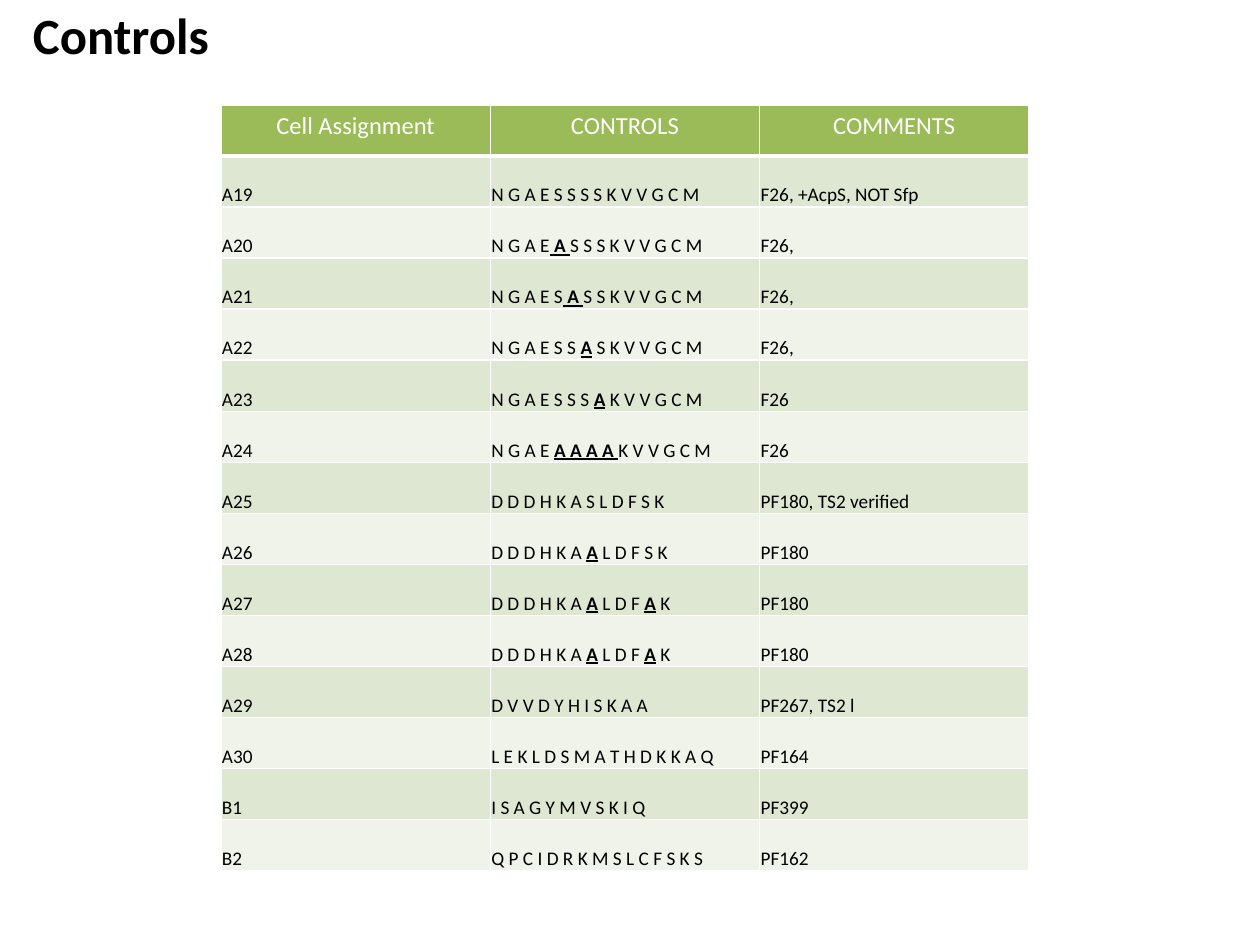
import pptx
import pptx.util
import pptx.dml.color
import pptx.enum.text
import pptx.oxml

EMU_PER_PX = 914400 / 126
FONT = "Calibri"
HEADINGS = ["Cell Assignment", "CONTROLS", "COMMENTS"]
# Substituted residues stand between asterisks
CONTROLS = [
    ("A19", "N G A E S S S S K V V G C M", "F26, +AcpS, NOT Sfp"),
    ("A20", "N G A E* A *S S S K V V G C M", "F26,"),
    ("A21", "N G A E S* A *S S K V V G C M", "F26,"),
    ("A22", "N G A E S S *A* S K V V G C M", "F26,"),
    ("A23", "N G A E S S S *A* K V V G C M", "F26"),
    ("A24", "N G A E *A A A A *K V V G C M", "F26"),
    ("A25", "D D D H K A S L D F S K", "PF180, TS2 verified"),
    ("A26", "D D D H K A *A* L D F S K", "PF180"),
    ("A27", "D D D H K A *A* L D F *A* K", "PF180"),
    ("A28", "D D D H K A *A* L D F *A* K", "PF180"),
    ("A29", "D V V D Y H I S K A A", "PF267, TS2 l"),
    ("A30", "L E K L D S M A T H D K K A Q", "PF164"),
    ("B1", "I S A G Y M V S K I Q", "PF399"),
    ("B2", "Q P C I D R K M S L C F S K S", "PF162"),
]
HEADER_FORMAT = {"size": 14, "color": "FFFFFF", "align": "CENTER"}
BODY_FORMAT = {"size": 11, "color": "000000", "align": "LEFT"}
TITLE_FORMAT = {"size": 29, "color": "000000", "align": "CENTER", "bold": True}
BODY_CELL = {"margin_left": 1, "margin_right": 1, "margin_top": 1, "margin_bottom": 0}


def px(length):
    return pptx.util.Emu(round(length * EMU_PER_PX))


def rgb(code):
    return pptx.dml.color.RGBColor.from_string(code)


def write(frame, text, style):
    paragraph = frame.paragraphs[0]
    paragraph.alignment = getattr(pptx.enum.text.PP_ALIGN, style["align"])
    for index, part in enumerate(text.split("*")):
        if not part:
            continue
        substituted = index % 2 == 1
        run = paragraph.add_run()
        run.text = part
        font_values = {
            "name": FONT,
            "size": pptx.util.Pt(style["size"]),
            "bold": substituted or style.get("bold", False),
            "underline": substituted,
        }
        for name, value in font_values.items():
            setattr(run.font, name, value)
        run.font.color.rgb = rgb(style["color"])


def set_borders(cell, bottom_width):
    widths = {"lnL": 1, "lnR": 1, "lnT": 1, "lnB": bottom_width}
    properties = cell._tc.get_or_add_tcPr()
    # Border lines come before the fill
    for position, (side, width) in enumerate(widths.items()):
        properties.insert(position, pptx.oxml.parse_xml(
            f'<a:{side} xmlns:a="http://schemas.openxmlformats.org/drawingml/2006/main" '
            f'w="{pptx.util.Pt(width)}"><a:solidFill><a:srgbClr val="FFFFFF"/>'
            f'</a:solidFill></a:{side}>'))


def fill_cell(cell, text, fill, style, bottom_width=1):
    cell.fill.solid()
    cell.fill.fore_color.rgb = rgb(fill)
    set_borders(cell, bottom_width)
    write(cell.text_frame, text, style)


def add_title(slide, left, top, width, height):
    title = slide.shapes.add_textbox(px(left), px(top), px(width), px(height))
    title.text_frame.word_wrap = True
    title.text_frame.vertical_anchor = pptx.enum.text.MSO_ANCHOR.MIDDLE
    write(title.text_frame, "Controls", TITLE_FORMAT)


def add_controls_table(slide, left, top, width, height):
    controls = slide.shapes.add_table(
        len(CONTROLS) + 1, len(HEADINGS), px(left), px(top), px(width), px(height)).table

    # Header row
    for column, heading in enumerate(HEADINGS):
        fill_cell(controls.cell(0, column), heading, "9BBB59", HEADER_FORMAT, 3)

    # Banded body rows
    for row, entry in enumerate(CONTROLS, start=1):
        band = "DEE7D1" if row % 2 else "EFF3EA"
        for column, text in enumerate(entry):
            cell = controls.cell(row, column)
            for name, margin in BODY_CELL.items():
                setattr(cell, name, px(margin))
            cell.vertical_anchor = pptx.enum.text.MSO_ANCHOR.BOTTOM
            fill_cell(cell, text, band, BODY_FORMAT)


def main():
    deck = pptx.Presentation()
    deck.slide_width, deck.slide_height = px(1260), px(945)
    slide = deck.slides.add_slide(deck.slide_layouts[6])
    add_controls_table(slide, 221, 105, 808, 766)
    add_title(slide, -21, -4, 284, 77)
    deck.save("out.pptx")


if __name__ == "__main__":
    main()
